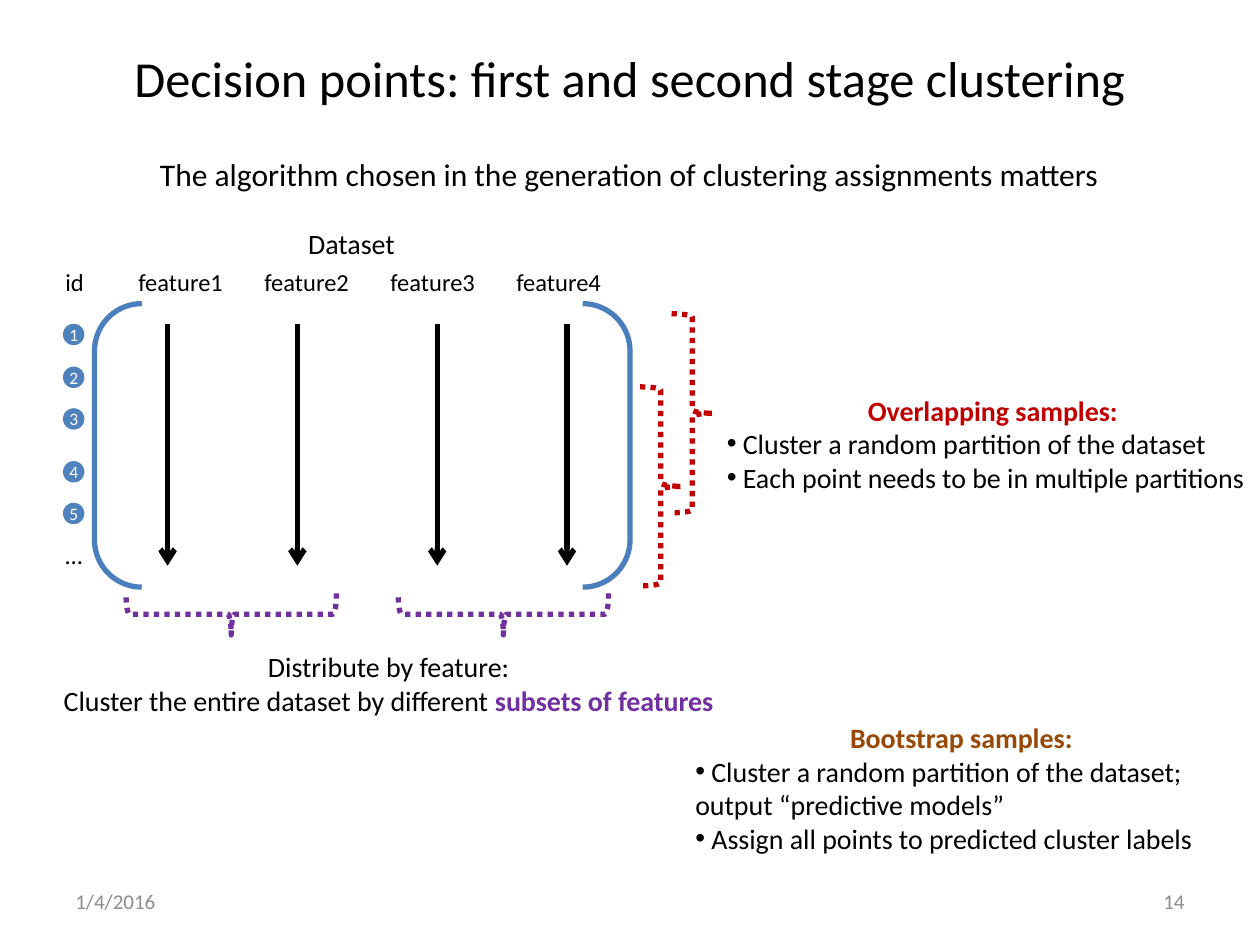
from pptx import Presentation
from pptx.dml.color import RGBColor
from pptx.enum.dml import MSO_LINE
from pptx.enum.shapes import MSO_CONNECTOR, MSO_SHAPE
from pptx.enum.text import MSO_ANCHOR, PP_ALIGN
from pptx.oxml.ns import qn
from pptx.util import Inches, Pt
from lxml import etree

LEFT, CENTER, RIGHT = PP_ALIGN.LEFT, PP_ALIGN.CENTER, PP_ALIGN.RIGHT
MIDDLE, TOP = MSO_ANCHOR.MIDDLE, MSO_ANCHOR.TOP
TITLE_ONLY = 5
FONT = "Calibri"
COLORS = {
    "black": "000000", "white": "FFFFFF", "gray": "8C8C8C", "blue": "4F81BD",
    "bracket": "4B7EBC", "red": "C00000", "purple": "7030A0", "brown": "984807",
}

TITLE = "Decision points: first and second stage clustering"
# text, box, size, alignment, color, anchor
LABELS = [
    ("The algorithm chosen in the generation of clustering assignments matters",
     (1.08, 1.18, 7.83, 0.4), 18, CENTER, "black", TOP),
    ("Dataset", (0.58, 1.75, 4.42, 0.37), 16, CENTER, "black", TOP),
    ("id", (0.42, 2.07, 0.35, 0.34), 14, LEFT, "black", TOP),
    ("feature1\tfeature2\tfeature3\tfeature4",
     (1, 2.07, 4.17, 0.34), 14, LEFT, "black", TOP),
    ("…", (0.42, 4.24, 0.35, 0.34), 14, LEFT, "black", TOP),
    ("1/4/2016", (0.5, 6.95, 2.33, 0.4), 12, LEFT, "gray", MIDDLE),
    ("14", (7.17, 6.95, 2.33, 0.4), 12, RIGHT, "gray", MIDDLE),
]
# heading, bullets, box, heading color
SAMPLE_NOTES = [
    ("Overlapping samples:",
     ["Cluster a random partition of the dataset",
      "Each point needs to be in multiple partitions"],
     (5.67, 3.07, 4.42, 0.91), "red"),
    ("Bootstrap samples:",
     ["Cluster a random partition of the dataset; output “predictive models”",
      "Assign all points to predicted cluster labels"],
     (5.42, 5.67, 4.42, 1.18), "brown"),
]
FEATURE_HEADING = "Distribute by feature:"
FEATURE_TEXT = "Cluster the entire dataset by different "
FEATURE_EMPHASIS = "subsets of features"

ID_TOPS = [2.57, 2.91, 3.24, 3.66, 3.99]
ARROW_LEFTS = [1.33, 2.36, 3.47, 4.5]
ARROW_TOP, ARROW_BOTTOM = 2.57, 4.49
# box before rotation, rotation, color
BRACES = [
    ((5.33, 2.49, 0.33, 1.58), 0, "red"),
    ((5.08, 3.07, 0.33, 1.58), 0, "red"),
    ((1.67, 4.04, 0.33, 1.67), 90, "purple"),
    ((3.83, 4.04, 0.33, 1.67), 90, "purple"),
]


def rgb(name):
    return RGBColor.from_string(COLORS[name])


def inches(box):
    return [Inches(value) for value in box]


def style_runs(paragraph, size, color, bold=False):
    for run in paragraph.runs:
        run.font.name = FONT
        run.font.size = Pt(size)
        run.font.bold = bold
        run.font.color.rgb = rgb(color)


def add_text_frame(slide, box, wrap=True):
    text_frame = slide.shapes.add_textbox(*inches(box)).text_frame
    text_frame.word_wrap = wrap
    return text_frame


def add_label(slide, text, box, size, alignment, color, anchor):
    text_frame = add_text_frame(slide, box)
    text_frame.vertical_anchor = anchor
    text_frame.text = text
    paragraph = text_frame.paragraphs[0]
    paragraph.alignment = alignment
    style_runs(paragraph, size, color)


def add_bullet(paragraph):
    properties = paragraph._p.get_or_add_pPr()
    properties.set("marL", "0")
    properties.set("indent", "0")
    etree.SubElement(properties, qn("a:buFont"), typeface="Arial")
    etree.SubElement(properties, qn("a:buChar"), char="•")


def add_sample_note(slide, heading, bullets, box, color):
    text_frame = add_text_frame(slide, box)
    text_frame.text = heading
    paragraph = text_frame.paragraphs[0]
    paragraph.alignment = CENTER
    style_runs(paragraph, 16, color, bold=True)
    for bullet in bullets:
        paragraph = text_frame.add_paragraph()
        add_bullet(paragraph)
        paragraph.text = f" {bullet}"
        style_runs(paragraph, 16, "black")


def add_feature_note(slide):
    text_frame = add_text_frame(slide, (0.25, 5.11, 5.67, 0.64))
    text_frame.text = f"{FEATURE_HEADING}\n{FEATURE_TEXT}"
    for paragraph in text_frame.paragraphs:
        paragraph.alignment = CENTER
    text_frame.paragraphs[1].add_run().text = FEATURE_EMPHASIS
    for paragraph in text_frame.paragraphs:
        style_runs(paragraph, 16, "black")
    emphasis = text_frame.paragraphs[1].runs[-1]
    emphasis.font.bold = True
    emphasis.font.color.rgb = rgb("purple")


def add_outline(slide, kind, box, color):
    shape = slide.shapes.add_shape(kind, *inches(box))
    shape.shadow.inherit = False
    shape.fill.background()
    shape.line.color.rgb = rgb(color)
    shape.line.width = Pt(3)
    return shape


def add_id_circle(slide, number, top):
    circle = slide.shapes.add_shape(MSO_SHAPE.OVAL, *inches((0.5, top, 0.17, 0.17)))
    circle.shadow.inherit = False
    circle.fill.solid()
    circle.fill.fore_color.rgb = rgb("blue")
    circle.line.fill.background()
    text_frame = circle.text_frame
    text_frame.word_wrap = False
    text_frame.vertical_anchor = MIDDLE
    text_frame.margin_left = text_frame.margin_right = 0
    text_frame.margin_top = text_frame.margin_bottom = 0
    text_frame.text = str(number)
    text_frame.paragraphs[0].alignment = CENTER
    style_runs(text_frame.paragraphs[0], 10, "white")


def add_arrow(slide, left):
    arrow = slide.shapes.add_connector(
        MSO_CONNECTOR.STRAIGHT, *inches((left, ARROW_TOP, left, ARROW_BOTTOM)))
    arrow.line.color.rgb = rgb("black")
    arrow.line.width = Pt(3)
    etree.SubElement(arrow.line._get_or_add_ln(), qn("a:tailEnd"), type="arrow")
    etree.SubElement(arrow._element.spPr, qn("a:effectLst"))


def main():
    presentation = Presentation()
    presentation.slide_width, presentation.slide_height = Inches(10), Inches(7.5)
    slide = presentation.slides.add_slide(presentation.slide_layouts[TITLE_ONLY])

    title = slide.shapes.title
    title.left, title.top, title.width, title.height = inches((0.5, 0.3, 9, 0.62))
    title.text_frame.text = TITLE
    title.text_frame.vertical_anchor = MIDDLE
    title.text_frame.paragraphs[0].alignment = CENTER
    style_runs(title.text_frame.paragraphs[0], 28.8, "black")

    for number, top in enumerate(ID_TOPS, start=1):
        add_id_circle(slide, number, top)
    add_outline(slide, MSO_SHAPE.DOUBLE_BRACKET, (0.75, 2.41, 4.25, 2.25), "bracket")
    for left in ARROW_LEFTS:
        add_arrow(slide, left)
    for box, rotation, color in BRACES:
        brace = add_outline(slide, MSO_SHAPE.RIGHT_BRACE, box, color)
        brace.rotation = rotation
        brace.line.dash_style = MSO_LINE.ROUND_DOT
    for label in LABELS:
        add_label(slide, *label)
    add_feature_note(slide)
    for note in SAMPLE_NOTES:
        add_sample_note(slide, *note)

    presentation.save("out.pptx")


if __name__ == "__main__":
    main()
